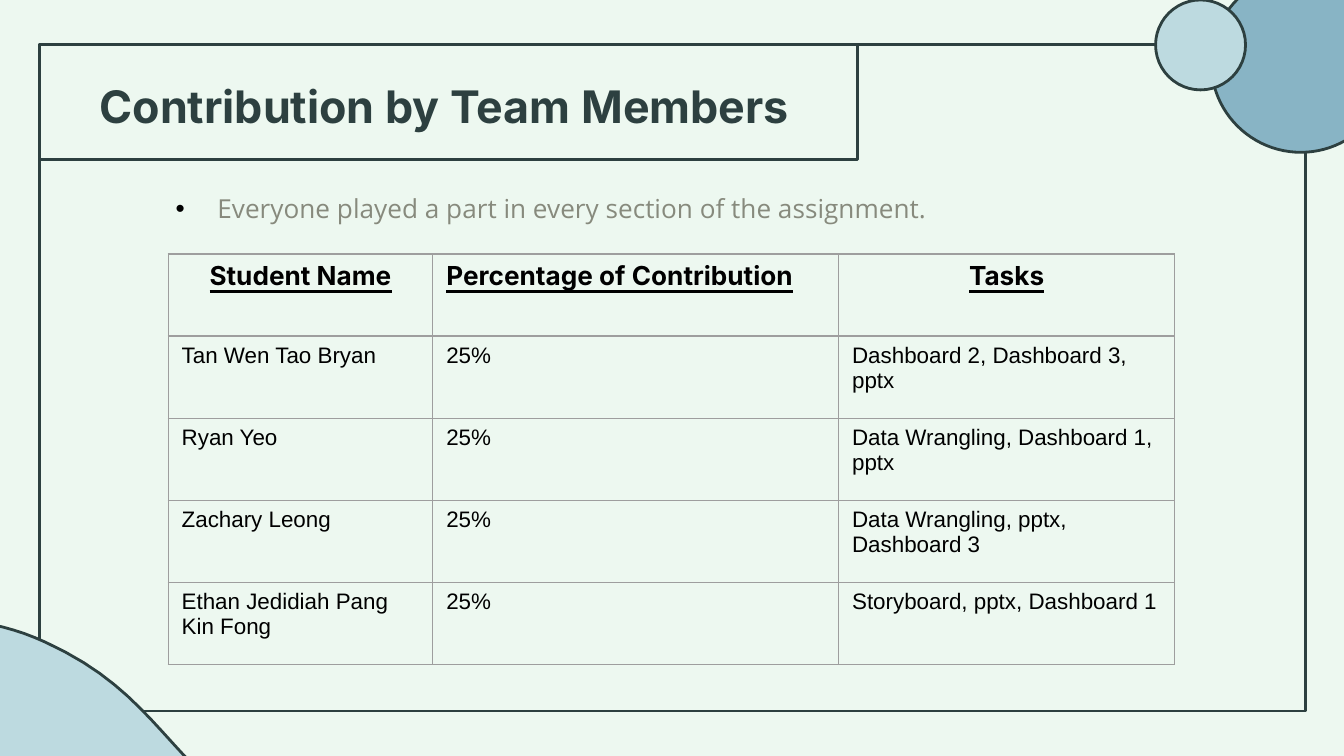
from lxml.etree import SubElement
from pptx import Presentation
from pptx.dml.color import RGBColor
from pptx.enum.shapes import MSO_SHAPE
from pptx.enum.text import MSO_ANCHOR, MSO_AUTO_SIZE, PP_ALIGN
from pptx.oxml import parse_xml
from pptx.oxml.ns import nsdecls, qn
from pptx.util import Cm, Pt

HUES = {"back": "EDF8F0", "ink": "2D4040", "pale": "BDDAE0", "blue": "88B4C5",
        "gray": "878A7D", "grid": "9E9E9E", "black": "000000"}
HEADS = ["Student Name", "Percentage of Contribution", "Tasks"]
TEAM = [
    ("Tan Wen Tao Bryan", "25%", "Dashboard 2, Dashboard 3, pptx"),
    ("Ryan Yeo", "25%", "Data Wrangling, Dashboard 1, pptx"),
    ("Zachary Leong", "25%", "Data Wrangling, pptx, Dashboard 3"),
    ("Ethan Jedidiah Pang Kin Fong", "25%", "Storyboard, pptx, Dashboard 1"),
]
SHARES = [5, 7.67, 6.35]
HILL = [
    [(10.9, 4.45), (10.9, 4.45), (10.75, 4.55), (10.44, 4.63)],
    [(10.44, 4.63), (9.96, 4.75), (9.05, 4.78), (7.78, 4.02)],
    [(7.78, 4.02), (5.74, 2.82), (5.64, 1.5), (3.48, 0.51)],
    [(3.48, 0.51), (2.37, 0), (1.43, 0.05), (0.82, 0.21)],
    [(0.82, 0.21), (0.31, 0.33), (0, 0.54), (0, 0.54)],
]


def hue(name):
    """Return the named colour."""
    return RGBColor.from_string(HUES[name])


def paint(shape, fill=None):
    """Give a shape its fill, dark outline and no shadow."""
    shape.shadow.inherit = False
    if fill:
        shape.fill.solid()
        shape.fill.fore_color.rgb = hue(fill)
    else:
        shape.fill.background()
    shape.line.color.rgb = hue("ink")
    shape.line.width = Pt(1.5)


def style(par, face, size, color, bold=False, under=False):
    """Set the font of a paragraph."""
    font = par.font
    font.name, font.size, font.bold, font.underline = face, Pt(size), bold, under
    font.color.rgb = hue(color)


def add_box(slide, kind, box, fill=None):
    """Add a painted preset shape in a box."""
    shape = slide.shapes.add_shape(kind, *map(Cm, box))
    paint(shape, fill)
    return shape


def bend(ends, steps=16):
    """Sample a cubic curve after its first point."""
    for k in range(1, steps + 1):
        t = k / steps
        parts = (1 - t) ** 3, 3 * t * (1 - t) ** 2, 3 * t * t * (1 - t), t ** 3
        yield tuple(sum(p * end[i] for p, end in zip(parts, ends)) for i in (0, 1))


def add_hill(slide, left, top):
    """Draw the rounded hill in the lower left corner."""
    def place(x, y):
        return Cm(left + x), Cm(top + y)

    dots = [(10.9, 4.45)] + [dot for ends in HILL for dot in bend(ends)] + [(2.47, 9.73)]
    pen = slide.shapes.build_freeform(*place(11.64, 7.42))
    pen.add_line_segments([place(*dot) for dot in dots], close=True)
    paint(pen.convert_to_shape(), "pale")


def add_discs(slide, left, top):
    """Draw the two discs in the upper right corner."""
    add_box(slide, MSO_SHAPE.OVAL, (left + 1.05, top - 0.51, 3.39, 3.39), "blue")
    add_box(slide, MSO_SHAPE.OVAL, (left, top, 1.7, 1.7), "pale")


def add_title(slide, box, text):
    """Add the framed title."""
    frame = add_box(slide, MSO_SHAPE.RECTANGLE, box, "back").text_frame
    frame.word_wrap = True
    frame.vertical_anchor = MSO_ANCHOR.MIDDLE
    frame.margin_left, frame.margin_right = Cm(1.14), Cm(0.25)
    frame.margin_top, frame.margin_bottom = Cm(0.25), Cm(0.13)
    par = frame.paragraphs[0]
    par.text, par.alignment = text, PP_ALIGN.LEFT
    style(par, "Inter", 24, "ink", bold=True)


def add_note(slide, box, text):
    """Add the bulleted line above the table."""
    frame = slide.shapes.add_textbox(*map(Cm, box)).text_frame
    frame.word_wrap = True
    frame.auto_size = MSO_AUTO_SIZE.SHAPE_TO_FIT_TEXT
    par = frame.paragraphs[0]
    par.text = text
    props = par._p.get_or_add_pPr()
    props.set("marL", str(Cm(0.79)))
    props.set("indent", str(-Cm(0.79)))
    tint = SubElement(props, qn("a:buClr"))
    SubElement(tint, qn("a:srgbClr"), val=HUES["black"])
    SubElement(props, qn("a:buFont"), typeface="Arial")
    SubElement(props, qn("a:buChar"), char="•")
    style(par, "Open Sans", 14, "gray")


def edge(cell):
    """Draw thin lines on all sides of a cell."""
    props = cell._tc.get_or_add_tcPr()
    for i, side in enumerate("LRTB"):
        props.insert(i, parse_xml(
            f'<a:ln{side} {nsdecls("a")} w="{Pt(0.75)}"><a:solidFill>'
            f'<a:srgbClr val="{HUES["grid"]}"/></a:solidFill></a:ln{side}>'))


def add_grid(slide, box):
    """Add the table of team members."""
    rows = [HEADS, *TEAM]
    table = slide.shapes.add_table(len(rows), len(HEADS), *map(Cm, box)).table
    table.first_row = table.horz_banding = False
    for col, share in zip(table.columns, SHARES):
        col.width = Cm(share)
    for r, row in enumerate(rows):
        table.rows[r].height = Cm(box[3] / len(rows))
        for c, text in enumerate(row):
            cell = table.cell(r, c)
            cell.fill.background()
            edge(cell)
            par = cell.text_frame.paragraphs[0]
            par.text = text
            if r == 0:
                par.alignment = PP_ALIGN.LEFT if c == 1 else PP_ALIGN.CENTER
                style(par, "Inter", 14, "black", bold=True, under=True)
            else:
                style(par, "Arial", 12, "black")


def main():
    """Build and save the slide."""
    deck = Presentation()
    deck.slide_width, deck.slide_height = Cm(25.4), Cm(14.29)
    slide = deck.slides.add_slide(deck.slide_layouts[6])
    slide.background.fill.solid()
    slide.background.fill.fore_color.rgb = hue("back")
    add_box(slide, MSO_SHAPE.RECTANGLE, (0.74, 0.84, 23.93, 12.6))
    add_hill(slide, -2.62, 11.63)
    add_discs(slide, 21.84, 0)
    add_title(slide, (0.74, 0.84, 15.47, 2.18), "Contribution by Team Members")
    add_grid(slide, (3.18, 4.8, 19.02, 7.77))
    add_note(slide, (3.07, 3.51, 19.02, 0.86),
             "Everyone played a part in every section of the assignment.")
    deck.save("out.pptx")


if __name__ == "__main__":
    main()
